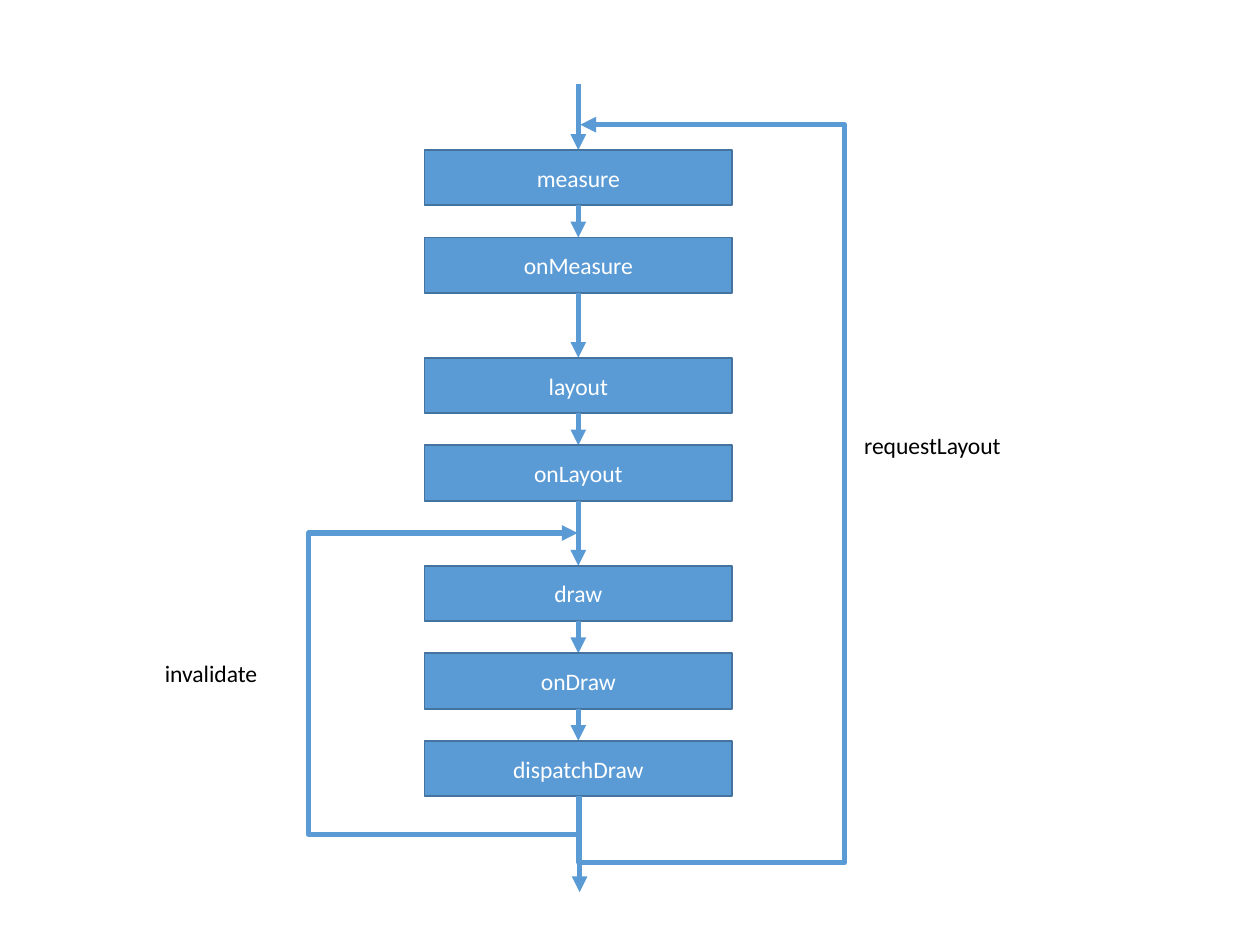
from dataclasses import dataclass

from lxml import etree
from pptx import Presentation
from pptx import util as u
from pptx.dml.color import RGBColor
from pptx.enum import shapes, text
from pptx.oxml import ns


@dataclass(frozen=True)
class Theme:
    """Colours, font and sizes used on the slide."""
    box: RGBColor = RGBColor(0x5B, 0x9B, 0xD5)
    border: RGBColor = RGBColor(0x43, 0x73, 0x9E)
    light: RGBColor = RGBColor(0xFF, 0xFF, 0xFF)
    dark: RGBColor = RGBColor(0, 0, 0)
    font: str = "Calibri"
    size: float = 13.5
    border_width: float = 1
    arrow_width: float = 3


THEME = Theme()
STAGES = [["measure", "onMeasure"], ["layout", "onLayout"],
          ["draw", "onDraw", "dispatchDraw"]]
STEP_HEIGHT, STEP_GAP, STAGE_GAP = 0.44, 0.255, 0.515
LOOP_OFFSET = 0.01


def set_format(target, values):
    """Set each attribute of target from a dict."""
    for name, value in values.items():
        setattr(target, name, value)


def write(shape, words, color, align, anchor):
    """Put one styled line of text into a shape."""
    frame = shape.text_frame
    set_format(frame, {"word_wrap": True, "vertical_anchor": anchor})
    paragraph = frame.paragraphs[0]
    paragraph.alignment = align
    run = paragraph.add_run()
    run.text = words
    set_format(run.font, {"name": THEME.font, "size": u.Pt(THEME.size)})
    run.font.color.rgb = color


def add_step(slide, words, left, top, width):
    """Draw one step of the flow as a filled rectangle."""
    step = slide.shapes.add_shape(
        shapes.MSO_SHAPE.RECTANGLE, u.Inches(left), u.Inches(top),
        u.Inches(width), u.Inches(STEP_HEIGHT))
    step.shadow.inherit = False
    step.fill.solid()
    step.fill.fore_color.rgb = THEME.box
    step.line.color.rgb = THEME.border
    step.line.width = u.Pt(THEME.border_width)
    write(step, words, THEME.light, text.PP_ALIGN.CENTER, text.MSO_ANCHOR.MIDDLE)


def add_label(slide, words, left, top, width, height):
    """Draw the name of a loop."""
    label = slide.shapes.add_textbox(*map(u.Inches, (left, top, width, height)))
    write(label, words, THEME.dark, text.PP_ALIGN.LEFT, text.MSO_ANCHOR.TOP)


def add_arrow(slide, start, end, kind=shapes.MSO_CONNECTOR.STRAIGHT):
    """Draw a connector with an arrowhead at its end and return it."""
    arrow = slide.shapes.add_connector(kind, *map(u.Inches, (*start, *end)))
    arrow.line.color.rgb = THEME.box
    arrow.line.width = u.Pt(THEME.arrow_width)
    etree.SubElement(arrow.line._get_or_add_ln(), ns.qn("a:tailEnd"), type="triangle")
    etree.SubElement(arrow._element.spPr, ns.qn("a:effectLst"))
    return arrow


def add_loop(slide, center, bottom, top, drop, reach):
    """Draw a loop back from bottom to top; negative reach goes left."""
    middle, half = (top + bottom) / 2, (bottom - top) / 2
    side = LOOP_OFFSET / 2 * (1 if reach > 0 else -1)
    loop = add_arrow(slide, (center + half, middle + side),
                     (center - half, middle - side), shapes.MSO_CONNECTOR.ELBOW)
    properties = loop._element.spPr
    properties.find(ns.qn("a:xfrm")).set("rot", "5400000")
    geometry = properties.find(ns.qn("a:prstGeom"))
    geometry.set("prst", "bentConnector5")
    guides = geometry.find(ns.qn("a:avLst"))
    ratios = (-drop / (bottom - top), abs(reach) / LOOP_OFFSET, 1)
    for number, ratio in enumerate(ratios, 1):
        etree.SubElement(guides, ns.qn("a:gd"), name=f"adj{number}",
                         fmla=f"val {round(ratio * 100000)}")


def add_flow(slide, left, top, width):
    """Draw the column of steps, the arrows between them and the loops."""
    center = left + width / 2
    entry = top - 0.52
    add_arrow(slide, (center, entry), (center, top))
    bottom = None
    for stage in STAGES:
        for index, words in enumerate(stage):
            if bottom is not None:
                step_top = bottom + (STEP_GAP if index else STAGE_GAP)
                add_arrow(slide, (center, bottom), (center, step_top))
            else:
                step_top = top
            add_step(slide, words, left, step_top, width)
            bottom = step_top + STEP_HEIGHT
    add_loop(slide, center, bottom, top + 3.04, 0.3, -2.18)
    add_label(slide, "invalidate", left - 2.16, top + 3.99, 1.43, 0.4)
    add_loop(slide, center + 0.01, bottom, top - 0.2, 0.53, 2.14)
    add_label(slide, "requestLayout", left + 3.39, top + 2.18, 1.65, 0.68)
    add_arrow(slide, (center + 0.01, bottom + 0.5), (center + 0.01, bottom + 0.76))


def main():
    """Build and save the slide."""
    presentation = Presentation()
    set_format(presentation, {"slide_width": u.Inches(10),
                              "slide_height": u.Inches(7.5)})
    slide = presentation.slides.add_slide(presentation.slide_layouts[6])
    add_flow(slide, 3.37, 1.19, 2.44)
    presentation.save("out.pptx")


main()
